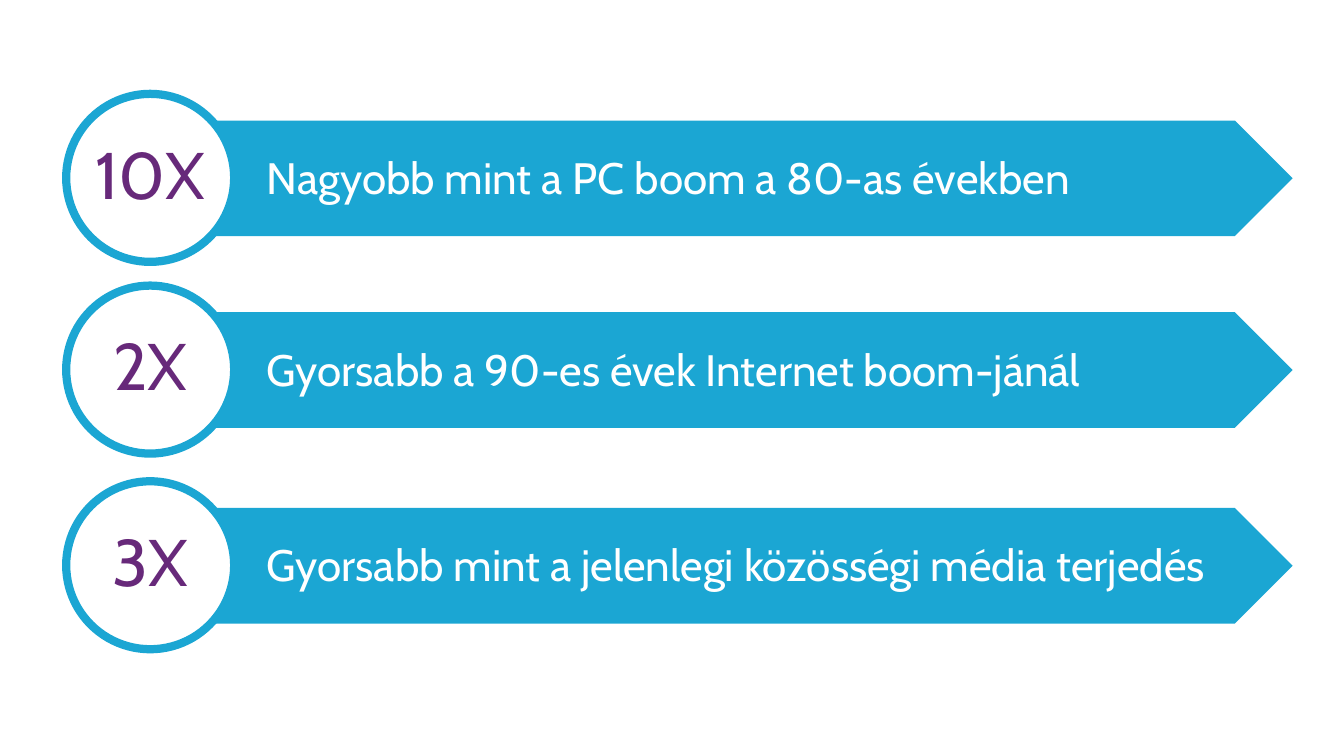
from pptx import Presentation
from pptx.dml.color import RGBColor
from pptx.enum.shapes import MSO_SHAPE
from pptx.enum.text import MSO_ANCHOR, PP_ALIGN
from pptx.util import Inches, Pt

COLORS = {"blue": "1BA6D3", "purple": "67297A", "white": "FFFFFF"}
ROWS = [
    (0.95, "10X", "Nagyobb mint a PC boom a 80-as években"),
    (2.89, "2X", "Gyorsabb a 90-es évek Internet boom-jánál"),
    (4.87, "3X", "Gyorsabb mint a jelenlegi közösségi média terjedés"),
]


def add_label(kind, box, fill, text, size, color, insets, align):
    """Add a filled shape with one line of text and return it."""
    shape = slide.shapes.add_shape(kind, *[Inches(v) for v in box])
    shape.shadow.inherit = False
    shape.fill.solid()
    shape.fill.fore_color.rgb = RGBColor.from_string(COLORS[fill])
    shape.line.fill.background()
    frame = shape.text_frame
    frame.word_wrap = True
    frame.vertical_anchor = MSO_ANCHOR.MIDDLE
    left, top, right, bottom = [Inches(v) for v in insets]
    frame.margin_left, frame.margin_right = left, right
    frame.margin_top, frame.margin_bottom = top, bottom
    para = frame.paragraphs[0]
    para.alignment = align
    run = para.add_run()
    run.text = text
    run.font.name = "Cabin"
    run.font.size = Pt(size)
    run.font.color.rgb = RGBColor.from_string(COLORS[color])
    return shape


deck = Presentation()
deck.slide_width = Inches(13.6)
deck.slide_height = Inches(7.65)
slide = deck.slides.add_slide(deck.slide_layouts[6])

for top, factor, claim in ROWS:
    add_label(MSO_SHAPE.PENTAGON, (2.1, top + 0.27, 10.98, 1.17), "blue",
              claim, 32, "white", (0.6, 0.05, 0.1, 0.08), PP_ALIGN.LEFT)
    badge = add_label(MSO_SHAPE.OVAL, (0.67, top, 1.7, 1.7), "white",
                      factor, 48, "purple", (0, 0, 0, 0), PP_ALIGN.CENTER)
    badge.line.color.rgb = RGBColor.from_string(COLORS["blue"])
    badge.line.width = Pt(6)
    badge.text_frame.paragraphs[0].line_spacing = 0.9

deck.save("out.pptx")
